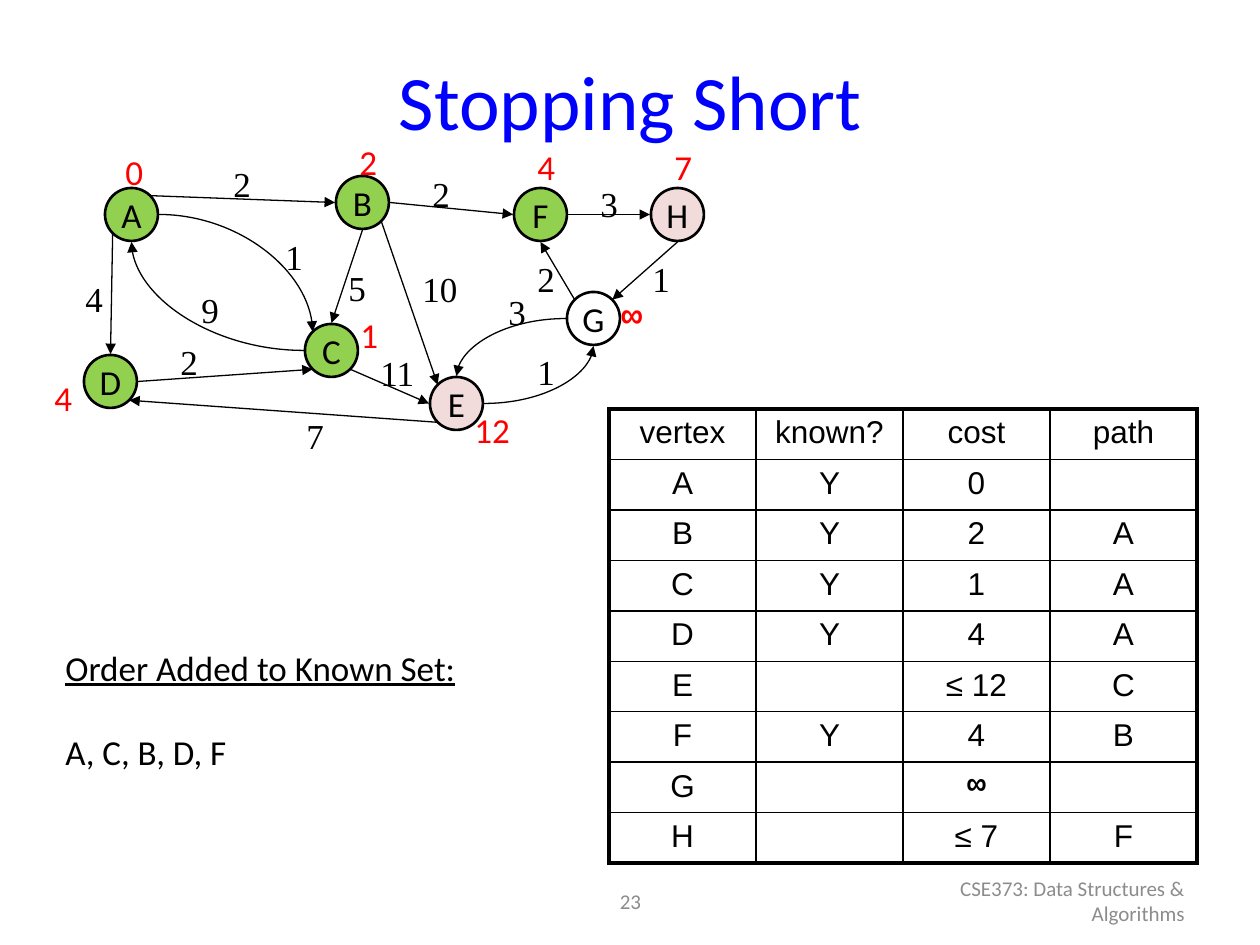
from pptx import Presentation
from pptx.dml.color import RGBColor
from pptx.enum.shapes import MSO_CONNECTOR, MSO_SHAPE
from pptx.enum.text import MSO_ANCHOR, MSO_AUTO_SIZE, PP_ALIGN
from pptx.oxml.ns import qn
from pptx.util import Pt
from lxml import etree

OVAL = MSO_SHAPE.OVAL
LINE, CURVE = MSO_CONNECTOR.STRAIGHT, MSO_CONNECTOR.CURVE
LEFT, MID, RIGHT = PP_ALIGN.LEFT, PP_ALIGN.CENTER, PP_ALIGN.RIGHT
TOP, CENTER = MSO_ANCHOR.TOP, MSO_ANCHOR.MIDDLE
GROW = MSO_AUTO_SIZE.SHAPE_TO_FIT_TEXT
SCALE = 914400 / 126

HUES = {"title": "0000FF", "ink": "000000", "cost": "FF0000", "foot": "8C8C8C",
        "known": "92D050", "seen": "F2DCDB"}
SANS, SERIF, MONO, ARIAL = "Calibri", "Times New Roman", "Courier New", "Arial"

TITLE = "Stopping Short"
FOOTS = [("23", 431, 399, MID), ("CSE373: Data Structures & Algorithms", 903, 294, RIGHT)]
ORDER = ["Order Added to Known Set:", "A, C, B, D, F"]

SIZE = 53
NODES = {"A": (105, 188, "known"), "B": (336, 176, "known"), "C": (305, 324, "known"),
         "D": (84, 355, "known"), "E": (430, 377, "seen"), "F": (514, 188, "known"),
         "G": (567, 292, None), "H": (651, 188, "seen")}
BENDS = ["A e C nw", "C w A s", "G w E n", "E e G s"]
EDGES = ["A sw D n", "D e C sw", "A ne B w", "B e F w", "F e H w", "G nw F s",
         "H s G ne", "B se E nw", "B s C n", "C se E w", "E sw D se"]
COSTS = [("0", 113, 144), ("2", 347, 134), ("4", 525, 139), ("7", 662, 139),
         ("4", 42, 370), ("1", 348, 307), ("12", 462, 402), ("∞", 609, 286)]
WEIGHTS = [("2", 221, 156), ("2", 420, 166), ("3", 588, 176), ("1", 640, 251),
           ("10", 410, 261), ("2", 525, 251), ("3", 496, 284), ("1", 525, 344),
           ("11", 368, 345), ("7", 294, 408), ("1", 273, 229), ("9", 189, 282),
           ("2", 168, 334), ("4", 73, 271), ("5", 336, 260)]

ROWS = [("vertex", "known?", "cost", "path"),
        ("A", "Y", "0", ""), ("B", "Y", "2", "A"), ("C", "Y", "1", "A"),
        ("D", "Y", "4", "A"), ("E", "", "≤ 12", "C"), ("F", "Y", "4", "B"),
        ("G", "", "∞", ""), ("H", "", "≤ 7", "F")]
GRID = (609, 409, 588, 454)


def px(*vals):
    return [round(v * SCALE) for v in vals]


def rgb(name):
    return RGBColor.from_string(HUES[name])


def style(para, size, face, hue, align=LEFT):
    para.alignment = align
    for run in para.runs:
        font = run.font
        font.size, font.color.rgb = Pt(size), rgb(hue)
        font.name = MONO if run.text == "∞" else face
        font.bold = run.text == "∞"


def write(slide, text, box, size, face, hue, align=LEFT, wrap=False):
    frame = slide.shapes.add_textbox(*px(*box)).text_frame
    frame.text = text
    frame.word_wrap = wrap
    frame.vertical_anchor = CENTER if wrap else TOP
    if not wrap:
        frame.auto_size = GROW
    for para in frame.paragraphs:
        style(para, size, face, hue, align)
    return frame


def node(slide, name):
    x, y, hue = NODES[name]
    disc = slide.shapes.add_shape(OVAL, *px(x, y, SIZE, SIZE))
    disc.shadow.inherit = False
    if hue:
        disc.fill.solid()
        disc.fill.fore_color.rgb = rgb(hue)
    else:
        disc.fill.background()
    disc.line.color.rgb, disc.line.width = rgb("ink"), Pt(1.5)
    frame = disc.text_frame
    frame.text, frame.word_wrap, frame.vertical_anchor = name, False, CENTER
    style(frame.paragraphs[0], 20, SANS, "ink", MID)


def site(name, side):
    x, y, _ = NODES[name]
    reach = SIZE / 2 + 1 if len(side) == 1 else SIZE / 2 * 0.71
    dx = ("e" in side) - ("w" in side)
    dy = ("s" in side) - ("n" in side)
    return x + SIZE / 2 + dx * reach, y + SIZE / 2 + dy * reach


def edge(slide, text, kind):
    tail, out, head, into = text.split()
    link = slide.shapes.add_connector(kind, *px(*site(tail, out), *site(head, into)))
    link.line.color.rgb, link.line.width = rgb("ink"), Pt(0.75)
    props = link._element.spPr
    if kind == CURVE:
        props.find(qn("a:prstGeom")).set("prst", "curvedConnector2")
    etree.SubElement(props.find(qn("a:ln")), qn("a:tailEnd"), type="triangle")
    etree.SubElement(props, qn("a:effectLst"))


def border(cell, side, width):
    line = etree.SubElement(cell._tc.get_or_add_tcPr(), qn("a:ln" + side), w=str(Pt(width)))
    fill = etree.SubElement(line, qn("a:solidFill"))
    etree.SubElement(fill, qn("a:srgbClr"), val=HUES["ink"])


def grid(slide):
    high, wide = len(ROWS), len(ROWS[0])
    table = slide.shapes.add_table(high, wide, *px(*GRID)).table
    table.first_row = table.horz_banding = False
    for r, row in enumerate(ROWS):
        for c, text in enumerate(row):
            cell = table.cell(r, c)
            cell.text = text
            style(cell.text_frame.paragraphs[0], 18, ARIAL, "ink", MID)
            rims = {"L": c == 0, "R": c == wide - 1, "T": r == 0, "B": r == high - 1}
            for side, rim in rims.items():
                border(cell, side, 2.25 if rim else 1)
            cell.fill.background()


def main():
    deck = Presentation()
    deck.slide_width, deck.slide_height = px(1260, 945)
    slide = deck.slides.add_slide(deck.slide_layouts[5])
    title = slide.shapes.title
    title.left, title.top, title.width, title.height = px(95, 21, 1071, 158)
    title.text_frame.text = TITLE
    title.text_frame.vertical_anchor = CENTER
    style(title.text_frame.paragraphs[0], 44, SANS, "title", MID)

    for text, x, wide, align in FOOTS:
        write(slide, text, (x, 876, wide, 50), 12, SANS, "foot", align, True)
    for name in NODES:
        node(slide, name)
    for kind, links in ((CURVE, BENDS), (LINE, EDGES)):
        for text in links:
            edge(slide, text, kind)
    for tags, face, hue in ((COSTS, SANS, "cost"), (WEIGHTS, SERIF, "ink")):
        for text, x, y in tags:
            write(slide, text, (x, y, 26 + 18 * len(text), 55), 20, face, hue)
    grid(slide)

    first, last = write(slide, "\n".join(ORDER), (53, 640, 455, 140), 20, SANS, "ink").paragraphs
    first.runs[0].font.underline = True
    last.space_before = Pt(24)
    deck.save("out.pptx")


if __name__ == "__main__":
    main()
